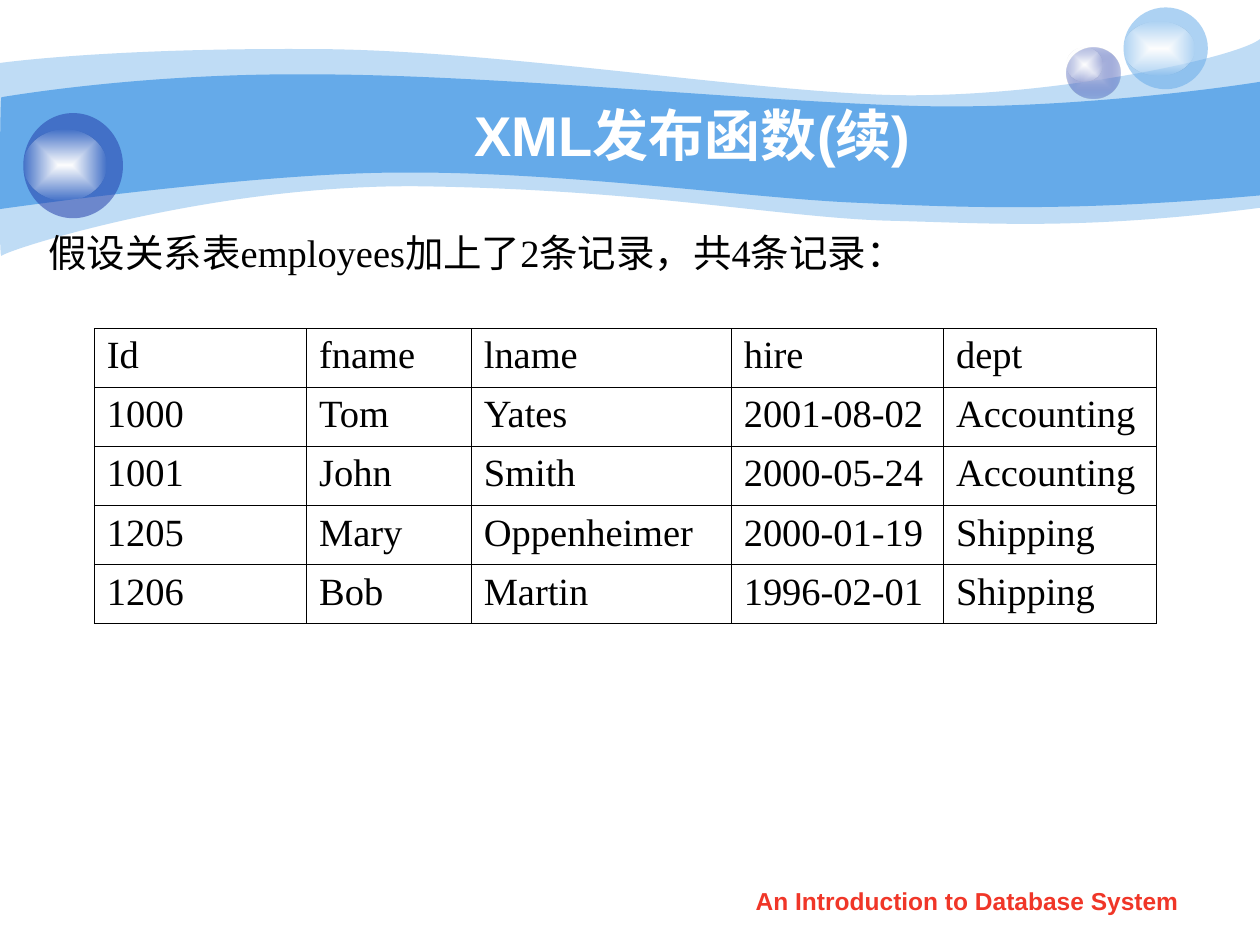
from pptx import Presentation
from pptx.dml.color import RGBColor
from pptx.enum.shapes import MSO_SHAPE
from pptx.enum.text import MSO_ANCHOR, PP_ALIGN
from pptx.oxml import parse_xml
from pptx.oxml.ns import nsdecls, qn
from pptx.util import Cm, Pt
from lxml.etree import SubElement

THEME = {
    "sky": "65AAE9", "navy": "233DA9", "haze": "C6CCE8",
    "white": "FFFFFF", "glow": "FEFEFE", "ink": "000000", "red": "F03628",
    "sans": "Arial", "serif": "Times New Roman",
    "title": 32, "body": 22, "foot": 14, "rule": 0.45,
}

TITLE = "XML发布函数(续)"
LEAD = "假设关系表employees加上了2条记录，共4条记录："
FOOT = "An Introduction to Database System"
ROWS = [
    ("Id", "fname", "lname", "hire", "dept"),
    ("1000", "Tom", "Yates", "2001-08-02", "Accounting"),
    ("1001", "John", "Smith", "2000-05-24", "Accounting"),
    ("1205", "Mary", "Oppenheimer", "2000-01-19", "Shipping"),
    ("1206", "Bob", "Martin", "1996-02-01", "Shipping"),
]
WIDTHS = [4.28, 3.32, 5.24, 4.28, 4.29]
ROW_H = 1.19

# Each wave: opacity, then its top and bottom edges in cm.
# An edge is a start point followed by Bezier triples.
WAVES = [
    (41,
     [(0, 1.27), (0.61, 1.19), (2.72, 0.97), (6.27, 0.99),
      (9.8, 0.99), (14.61, 1.78), (17.75, 1.91),
      (20.88, 2.03), (24.89, 1.19), (25.4, 0.79)],
     [(25.4, 4.19), (21.79, 4.65), (19.99, 4.5), (17.91, 4.45),
      (15.8, 4.39), (13.08, 3.84), (8.71, 3.76),
      (4.37, 3.66), (0.1, 5.05), (0.03, 5.16),
      (-0.03, 5.28), (0, 1.91), (0, 1.27)]),
    (100,
     [(0.03, 1.96), (0.05, 1.96), (2.79, 1.47), (6.3, 1.5),
      (9.8, 1.5), (15.11, 2.03), (18.24, 2.13),
      (21.36, 2.24), (24.79, 1.75), (25.4, 1.65)],
     [(25.4, 3.94), (21.67, 4.27), (19.43, 4.19), (17.32, 4.09),
      (15.21, 4.01), (11.35, 3.45), (8.05, 3.48),
      (5.16, 3.48), (-0.05, 4.22), (-0.03, 4.22),
      (0, 4.22), (0, 1.96), (0.03, 1.96)]),
]

# Box in cm, then (colour, opacity) stops from the centre outwards.
SHINE = [("white", 100), ("glow", 0)]
BALLS = [
    ((21.51, 0.96, 1.07, 1.02), [("haze", 100), ("navy", 31)]),
    ((21.51, 0.96, 0.71, 0.69), SHINE),
    ((22.65, 0.15, 1.7, 1.65), [("sky", 53)]),
    ((22.65, 0.43, 1.42, 1.09), SHINE),
    ((0.47, 2.28, 2.01, 2.12), [("navy", 53)]),
    ((0.47, 2.62, 1.68, 1.42), SHINE),
]


def hue(name):
    return RGBColor.from_string(THEME[name])


def paint(shape, stops):
    """Fill with one flat colour, or with a gradient from the centre."""
    shape.shadow.inherit = False
    shape.line.fill.background()
    fill = shape.fill
    if len(stops) == 1:
        fill.solid()
        fill.fore_color.rgb = hue(stops[0][0])
    else:
        fill.gradient()
        for stop, (name, _) in zip(fill.gradient_stops, stops):
            stop.color.rgb = hue(name)
        grad = shape._element.spPr.find(qn("a:gradFill"))
        grad.replace(grad.find(qn("a:lin")), parse_xml(
            f'<a:path {nsdecls("a")} path="rect"><a:fillToRect '
            'l="50000" t="50000" r="50000" b="50000"/></a:path>'))
    nodes = shape._element.spPr.iter(qn("a:srgbClr"))
    for node, (_, alpha) in zip(list(nodes), stops):
        if alpha < 100:
            SubElement(node, qn("a:alpha"), val=str(alpha * 1000))


def bend(lines):
    """Merge each three line steps into one cubic Bezier step."""
    for i in range(0, len(lines), 3):
        curve = parse_xml(f'<a:cubicBezTo {nsdecls("a")}/>')
        lines[i].addprevious(curve)
        for line in lines[i:i + 3]:
            curve.append(line[0])
            line.getparent().remove(line)


def add_wave(slide, alpha, top, base):
    dots = [(Cm(x), Cm(y)) for x, y in top + base]
    pen = slide.shapes.build_freeform(*dots[0])
    pen.add_line_segments(dots[1:], close=True)
    shape = pen.convert_to_shape()
    lines = list(shape._element.iter(qn("a:lnTo")))
    side = len(top) - 1
    bend(lines[:side])
    bend(lines[side + 1:])
    paint(shape, [("sky", alpha)])


def write(frame, text, size="body", face="serif", color="ink", bold=False,
          align=PP_ALIGN.LEFT, wrap=True, anchor=None):
    frame.word_wrap = wrap
    if anchor is not None:
        frame.vertical_anchor = anchor
    para = frame.paragraphs[0]
    para.alignment = align
    run = para.add_run()
    run.text = text
    font = run.font
    font.size, font.name, font.bold = Pt(THEME[size]), THEME[face], bold
    font.color.rgb = hue(color)


def add_text(slide, box, text, **style):
    shape = slide.shapes.add_textbox(*map(Cm, box))
    write(shape.text_frame, text, **style)


def rule(cell):
    """Draw a thin line on all four sides of a cell."""
    props = cell._tc.get_or_add_tcPr()
    for i, side in enumerate("LRTB"):
        props.insert(i, parse_xml(
            f'<a:ln{side} {nsdecls("a")} w="{int(Pt(THEME["rule"]))}">'
            f'<a:solidFill><a:srgbClr val="{THEME["ink"]}"/></a:solidFill>'
            f'</a:ln{side}>'))


def add_grid(slide, left, top):
    table = slide.shapes.add_table(
        len(ROWS), len(WIDTHS), Cm(left), Cm(top),
        Cm(sum(WIDTHS)), Cm(ROW_H * len(ROWS))).table
    table.first_row = table.horz_banding = False
    for col, width in zip(table.columns, WIDTHS):
        col.width = Cm(width)
    for row, words in zip(table.rows, ROWS):
        row.height = Cm(ROW_H)
        for cell, word in zip(row.cells, words):
            cell.fill.background()
            rule(cell)
            write(cell.text_frame, word)


def main():
    deck = Presentation()
    deck.slide_width, deck.slide_height = Cm(25.4), Cm(19.05)
    slide = deck.slides.add_slide(deck.slide_layouts[6])
    for wave in WAVES:
        add_wave(slide, *wave)
    for box, stops in BALLS:
        ball = slide.shapes.add_shape(MSO_SHAPE.OVAL, *map(Cm, box))
        paint(ball, stops)
    add_text(slide, (3.7, 1.92, 20.52, 1.57), TITLE, size="title", face="sans",
             color="white", bold=True, align=PP_ALIGN.CENTER,
             anchor=MSO_ANCHOR.MIDDLE)
    add_text(slide, (0.73, 4.48, 18.87, 1.19), LEAD, wrap=False,
             anchor=MSO_ANCHOR.MIDDLE)
    add_grid(slide, 1.9, 6.62)
    add_text(slide, (14.5, 17.73, 10, 0.89), FOOT, size="foot", face="sans",
             color="red", bold=True, align=PP_ALIGN.CENTER)
    deck.save("out.pptx")


if __name__ == "__main__":
    main()
